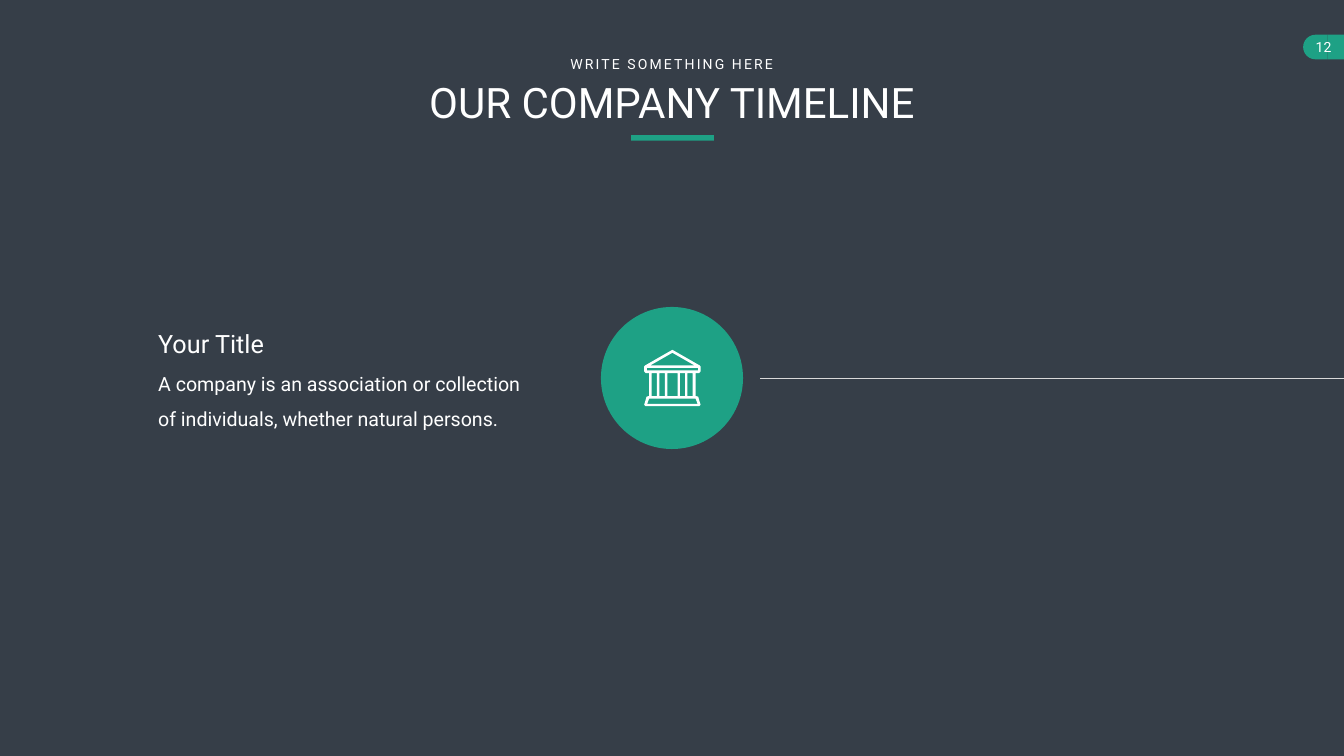
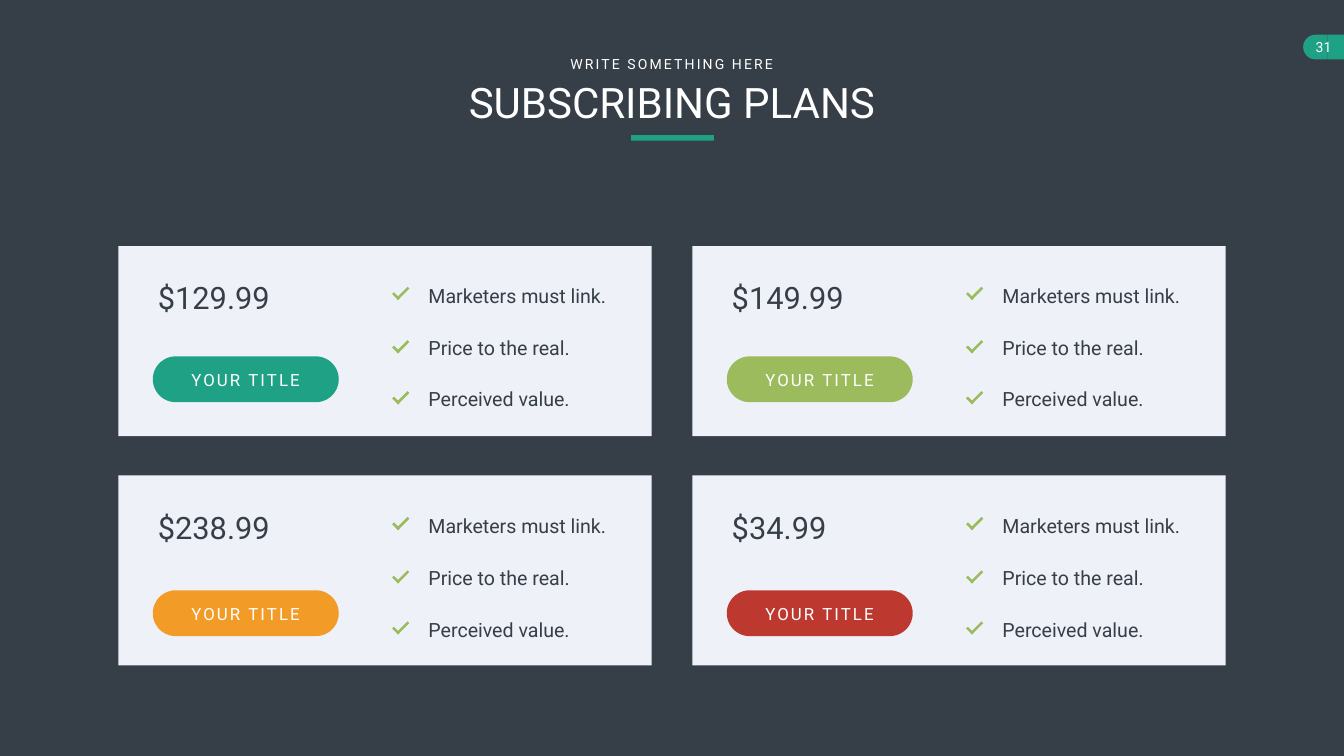
from itertools import product
from lxml.etree import SubElement
from pptx import Presentation
from pptx.dml.color import RGBColor
from pptx.enum.shapes import MSO_CONNECTOR, MSO_SHAPE
from pptx.enum.text import MSO_ANCHOR, MSO_AUTO_SIZE, PP_ALIGN
from pptx.oxml.ns import qn
from pptx.util import Cm, Pt

COLOURS = {
    "slate": "363E48",
    "white": "FFFFFF",
    "card": "EFF1F8",
    "rule": "D9D9D9",
    "teal": "1EA185",
    "green": "9BBB5C",
    "orange": "F29B26",
    "red": "BD392F",
}
FONT = "Roboto"


def add_block(slide, kind, colour, left, top, width, height, rotation=0):
    block = slide.shapes.add_shape(kind, Cm(left), Cm(top), Cm(width), Cm(height))
    block.shadow.inherit = False
    block.fill.solid()
    block.fill.fore_color.rgb = RGBColor.from_string(COLOURS[colour])
    block.line.fill.background()
    block.rotation = rotation
    return block


def write(box, text, size, colour, align=PP_ALIGN.LEFT, wrap=False, spacing=None, tracking=0):
    frame = box.text_frame
    frame.text = text
    frame.word_wrap = wrap
    frame.auto_size = MSO_AUTO_SIZE.SHAPE_TO_FIT_TEXT
    frame.vertical_anchor = MSO_ANCHOR.TOP
    paragraph = frame.paragraphs[0]
    paragraph.alignment = align
    paragraph.line_spacing = spacing
    run = paragraph.runs[0]
    run.font.name = FONT
    run.font.size = Pt(size)
    run.font.color.rgb = RGBColor.from_string(COLOURS[colour])
    if tracking:
        run._r.get_or_add_rPr().set("spc", str(tracking * 100))


prs = Presentation()
prs.slide_width, prs.slide_height = Cm(67.72), Cm(38.1)
backdrop = prs.slide_master.background.fill
backdrop.solid()
backdrop.fore_color.rgb = RGBColor.from_string(COLOURS["slate"])

headings = [("12", "OUR COMPANY TIMELINE", 30.43), ("31", "SUBSCRIBING PLANS", 25.15)]
for number, heading, width in headings:
    slide = prs.slides.add_slide(prs.slide_layouts[5])
    add_block(slide, MSO_SHAPE.FLOWCHART_DELAY, "teal", 65.66, 1.75, 1.24, 1.24, 180)
    add_block(slide, MSO_SHAPE.RECTANGLE, "teal", 66.9, 1.75, 0.82, 1.24)
    page = slide.shapes.add_textbox(Cm(65.71), Cm(1.7), Cm(2.31), Cm(1.37))
    write(page, number, 20, "white", PP_ALIGN.CENTER)
    page.text_frame.margin_left = Cm(0.51)
    page.text_frame.margin_right = Cm(0.86)
    page.text_frame.margin_top = page.text_frame.margin_bottom = Cm(0.25)

    add_block(slide, MSO_SHAPE.RECTANGLE, "teal", 31.8, 6.81, 4.17, 0.28)
    title = slide.shapes.title
    title.left, title.top = Cm(33.86 - width / 2), Cm(3.73)
    title.width, title.height = Cm(width), Cm(2.82)
    write(title, heading, 60, "white", PP_ALIGN.CENTER, wrap=True)
    kicker = slide.shapes.add_textbox(Cm(28.32), Cm(2.67), Cm(11.05), Cm(1.12))
    write(kicker, "WRITE SOMETHING HERE", 20, "white", PP_ALIGN.CENTER, tracking=3)

timeline, plans = prs.slides

summary = timeline.shapes.add_textbox(Cm(7.72), Cm(18.03), Cm(18.77), Cm(3.63))
write(
    summary,
    "A company is an association or collection of individuals, whether natural persons.",
    28, "white", wrap=True, spacing=1.5,
)
milestone = timeline.shapes.add_textbox(Cm(7.72), Cm(16.41), Cm(6.05), Cm(1.8))
write(milestone, "Your Title", 36, "white")
add_block(timeline, MSO_SHAPE.OVAL, "teal", 30.28, 15.47, 7.16, 7.16)

axis = timeline.shapes.add_connector(
    MSO_CONNECTOR.STRAIGHT, Cm(38.3), Cm(19.05), Cm(67.72), Cm(19.05)
)
axis.line.color.rgb = RGBColor.from_string(COLOURS["rule"])
axis.line.width = Pt(0.5)
SubElement(axis._element.spPr, qn("a:effectLst"))

bank_width = 284
right_side = [
    (142, 0), (280, 79), (284, 84), (284, 109), (277, 117), (259, 117),
    (259, 234), (264, 234), (272, 236), (284, 277), (277, 284),
]
left_side = [(bank_width - x, y) for x, y in reversed(right_side[1:])]
openings = [
    [(142, 15), (254, 79), (30, 79)],
    [(259, 246), (269, 272), (15, 272), (25, 246)],
    [(13, 91), (272, 91), (272, 104), (13, 104)],
]
for start, end in [(38, 64), (76, 104), (117, 168), (180, 206), (218, 244)]:
    openings.append([(start, 117), (end, 117), (end, 234), (start, 234)])

outline = timeline.shapes.build_freeform(*right_side[0], scale=Cm(0.01))
outline.add_line_segments(right_side[1:] + left_side)
for opening in openings:
    outline.move_to(*opening[0])
    outline.add_line_segments(opening[1:])
bank = outline.convert_to_shape(Cm(32.46), Cm(17.63))
bank.shadow.inherit = False
bank.fill.solid()
bank.fill.fore_color.rgb = RGBColor.from_string(COLOURS["white"])
bank.line.fill.background()

offers = [
    ("$129.99", 6.22, "teal"),
    ("$149.99", 6.22, "green"),
    ("$238.99", 6.22, "orange"),
    ("$34.99", 5.33, "red"),
]
benefits = ["Marketers must link.", "Price to the real.", "Perceived value."]
tick_tops = [14.86, 17.55, 20.12]

for (row, column), (price, price_width, accent) in zip(product(range(2), repeat=2), offers):
    across = column * 28.92
    down = row * 11.6
    add_block(plans, MSO_SHAPE.RECTANGLE, "card", 5.97 + across, 12.4 + row * 11.56, 26.87, 9.58)
    amount = plans.shapes.add_textbox(
        Cm(7.7 + across), Cm(13.92 + down), Cm(price_width), Cm(2.13)
    )
    write(amount, price, 44, "slate")

    for index, (benefit, tick_top) in enumerate(zip(benefits, tick_tops)):
        feature = plans.shapes.add_textbox(
            Cm(21.34 + across), Cm(13.92 + down + index * 2.61), Cm(9.75), Cm(1.6)
        )
        write(feature, benefit, 28, "slate", wrap=True, spacing=Pt(40.8))
        tick = tick_top + down
        add_block(plans, MSO_SHAPE.RECTANGLE, "green", 19.74 + across, tick, 0.43, 0.13, 45)
        add_block(plans, MSO_SHAPE.RECTANGLE, "green", 19.89 + across, tick - 0.14, 0.81, 0.13, 315)

    button_top = 17.96 + row * 11.79
    button = add_block(
        plans, MSO_SHAPE.ROUNDED_RECTANGLE, accent, 7.7 + across, button_top, 9.37, 2.31
    )
    button.adjustments[0] = 0.5
    plan_name = plans.shapes.add_textbox(
        Cm(9.25 + across), Cm(button_top + 0.56), Cm(6.25), Cm(1.27)
    )
    write(plan_name, "YOUR TITLE", 24, "white", PP_ALIGN.CENTER, tracking=3)

prs.save("out.pptx")
